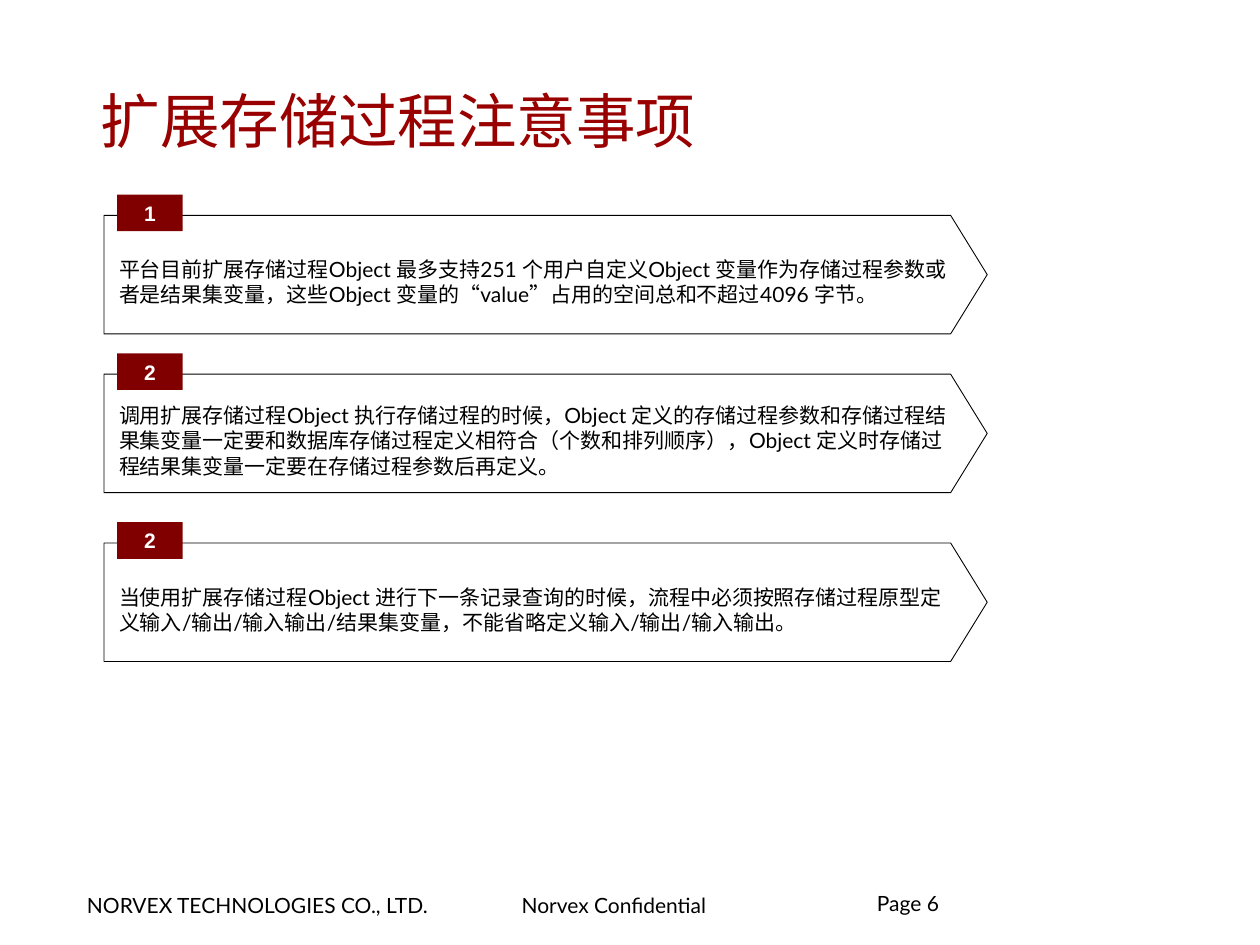
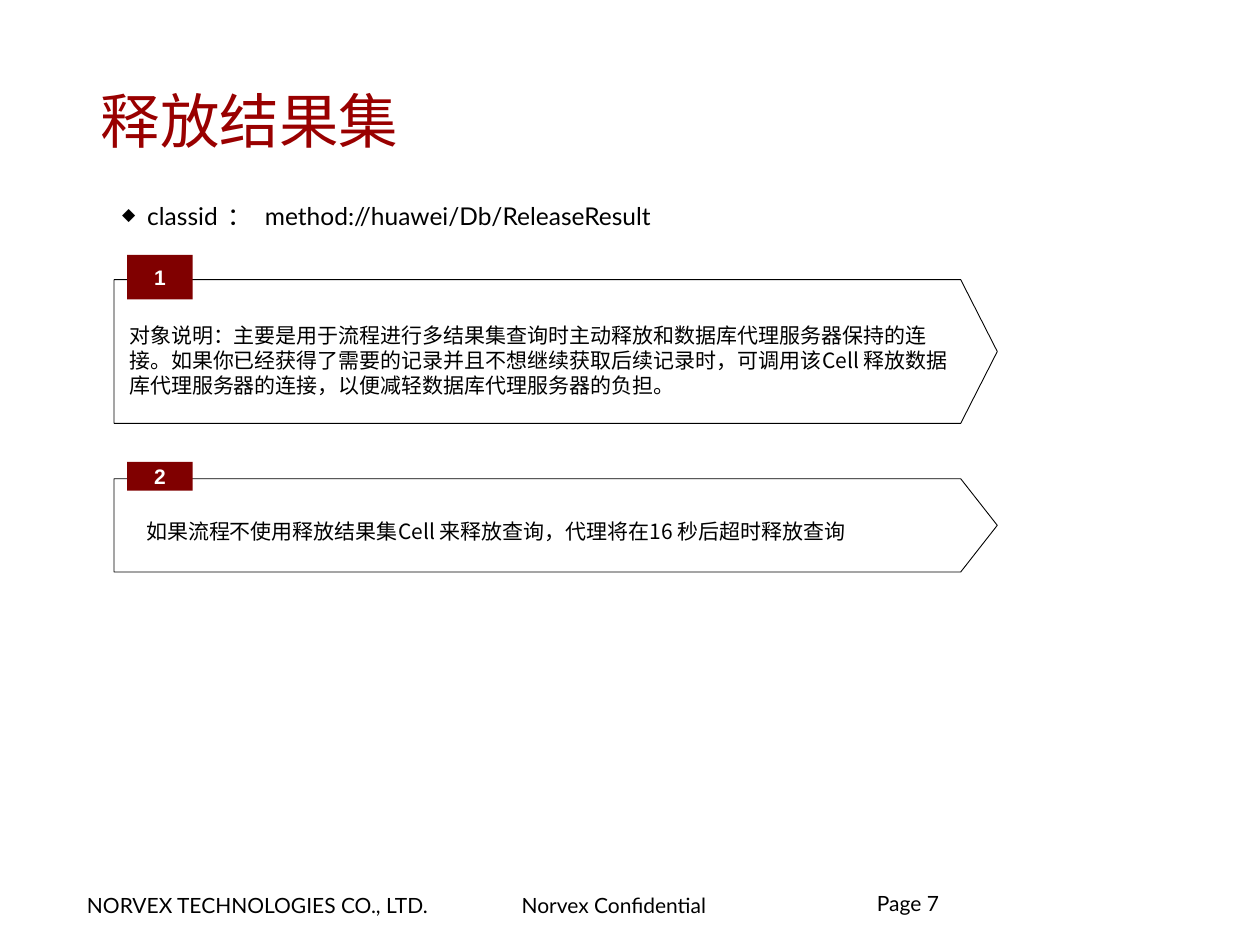
from dataclasses import dataclass

from lxml.etree import SubElement
from pptx import Presentation
from pptx.dml.color import RGBColor as Color
from pptx.enum.shapes import MSO_SHAPE as Shape
from pptx.enum.text import MSO_ANCHOR as Anchor, PP_ALIGN as Align
from pptx.oxml.ns import qn
from pptx.util import Inches, Pt


@dataclass(frozen=True)
class Theme:
    title: Color = Color.from_string("990000")
    badge: Color = Color.from_string("800000")
    ink: Color = Color.from_string("000000")
    paper: Color = Color.from_string("FFFFFF")
    font: str = "Lato"
    badge_font: str = "Arial"
    chinese_font: str = "Noto Sans CJK SC"
    title_size: float = 34
    bullet_size: float = 14
    body_size: float = 12
    bullet_percent: int = 70
    outline: float = 0.5


@dataclass(frozen=True)
class Box:
    left: float
    top: float
    width: float
    height: float

    def inner(self, left, top, width, height):
        return Box(self.left + left, self.top + top, width, height)

    def emu(self):
        return [grid(n) for n in (self.left, self.top, self.width, self.height)]


THEME = Theme()
COLUMNS, ROWS = 100, 75
SLIDE_WIDTH, SLIDE_HEIGHT = Inches(10), Inches(7.5)
PAGE = Box(0, 0, COLUMNS, ROWS)
LINE_ROWS = 2


def grid(cells):
    return round(cells * SLIDE_WIDTH / COLUMNS)


def write(shape, *pieces, size=THEME.body_size, font=THEME.font, color=THEME.ink,
          bold=False, align=Align.LEFT, anchor=Anchor.TOP, inset=(0, 0),
          line_spacing=None, bullet=None, margin=0, hanging=0):
    frame = shape.text_frame
    frame.word_wrap = True
    frame.vertical_anchor = anchor
    frame.margin_left = frame.margin_right = grid(inset[0])
    frame.margin_top = frame.margin_bottom = grid(inset[1])
    para = frame.paragraphs[0]
    para.alignment = align
    if line_spacing:
        para.line_spacing = line_spacing
    properties = para._p.get_or_add_pPr()
    properties.set("hangingPunct", "0")
    if bullet:
        properties.set("marL", str(grid(margin)))
        properties.set("indent", str(-grid(hanging)))
        SubElement(properties, qn("a:buSzPct")).set("val", str(THEME.bullet_percent * 1000))
        SubElement(properties, qn("a:buChar")).set("char", bullet)
    for words, tracking in pieces:
        span = para.add_run()
        span.text = words
        span.font.size = Pt(size)
        span.font.name = font
        span.font.bold = bold
        span.font.color.rgb = color
        if tracking:
            span.font._element.set("spc", str(tracking * 100))


def add_text(shapes, box, *words, **style):
    pieces = [(word, 0) if isinstance(word, str) else word for word in words]
    write(shapes.add_textbox(*box.emu()), *pieces, **style)


def add_frame(slide, box, title, number):
    shapes = slide.shapes
    slide.background.fill.solid()
    slide.background.fill.fore_color.rgb = THEME.paper
    add_text(shapes, box.inner(6, 70.4, 30.9, 2.9), "NORVEX TECHNOLOGIES CO., LTD.",
             inset=(0.9, 0.4))
    add_text(shapes, box.inner(40.5, 70.4, 21.8, 2.9), "Norvex Confidential",
             inset=(0.9, 0.4))
    add_text(shapes, box.inner(69.6, 71, 22.9, 4), f"Page {number}", line_spacing=0.85)
    add_text(shapes, box.inner(7.1, 4.75, 84.7, 9.5), title, size=THEME.title_size,
             color=THEME.title, anchor=Anchor.MIDDLE, inset=(0.9, 0.4))


def add_arrow_card(slide, box, number, words, lines, indent=1.2, font=THEME.font):
    shapes = slide.shapes.add_group_shape().shapes
    right, bottom = box.left + box.width, box.top + box.height
    shoulder, middle = right - 2.9, box.top + box.height / 2
    builder = shapes.build_freeform(grid(box.left), grid(box.top))
    corners = [(shoulder, box.top), (right, middle), (shoulder, bottom), (box.left, bottom)]
    builder.add_line_segments([(grid(x), grid(y)) for x, y in corners])
    outline = builder.convert_to_shape()
    outline.shadow.inherit = False
    outline.fill.background()
    outline.line.color.rgb = THEME.ink
    outline.line.width = Pt(THEME.outline)

    text_height = lines * LINE_ROWS
    text_top = box.height * 0.56 - text_height / 2
    add_text(shapes, box.inner(indent, text_top, 65.7, text_height),
             words, font=font, anchor=Anchor.MIDDLE)

    badge_height = box.height * 0.31
    badge = shapes.add_shape(
        Shape.RECTANGLE, *box.inner(1.05, -badge_height / 2 - 0.2, 5.2, badge_height).emu())
    badge.shadow.inherit = False
    badge.fill.solid()
    badge.fill.fore_color.rgb = THEME.badge
    badge.line.fill.background()
    write(badge, (str(number), 0), font=THEME.badge_font, color=THEME.paper, bold=True,
          align=Align.CENTER, anchor=Anchor.MIDDLE)


def add_notes_slide(slide, box):
    add_frame(slide, box, "扩展存储过程注意事项", 6)
    notes = [
        (17.1, 1, 3, "平台目前扩展存储过程Object 最多支持251 个用户自定义Object 变量作为存储过程参数"
         "或者是结果集变量，这些Object 变量的“value”占用的空间总和不超过4096 字节。"),
        (29.7, 2, 3, "调用扩展存储过程Object 执行存储过程的时候，Object 定义的存储过程参数和存储过程"
         "结果集变量一定要和数据库存储过程定义相符合（个数和排列顺序），Object 定义时存储过程"
         "结果集变量一定要在存储过程参数后再定义。"),
        (43.1, 2, 2, "当使用扩展存储过程Object 进行下一条记录查询的时候，流程中必须按照存储过程原型"
         "定义输入/输出/输入输出/结果集变量，不能省略定义输入/输出/输入输出。"),
    ]
    for top, number, lines, words in notes:
        add_arrow_card(slide, box.inner(8.25, top, 70.1, 9.4), number, words, lines)


def add_release_slide(slide, box):
    add_frame(slide, box, "释放结果集", 7)
    add_text(slide.shapes, box.inner(8.3, 15.5, 68.5, 4), "classid", (" ： ", 2),
             "method://huawei/Db/ReleaseResult", size=THEME.bullet_size,
             inset=(1, 0.5), bullet="◆", margin=2.4, hanging=2)
    add_arrow_card(
        slide, box.inner(9.05, 22.2, 70.1, 11.4), 1,
        "对象说明：主要是用于流程进行多结果集查询时主动释放和数据库代理服务器保持的连接。"
        "如果你已经获得了需要的记录并且不想继续获取后续记录时，可调用该Cell 释放数据库代理服务器的连接，"
        "以便减轻数据库代理服务器的负担。", 3, font=THEME.chinese_font)
    add_arrow_card(
        slide, box.inner(9.05, 38, 70.1, 7.4), 2,
        "如果流程不使用释放结果集Cell 来释放查询，代理将在16 秒后超时释放查询", 1,
        indent=2.55, font=THEME.chinese_font)


def main():
    deck = Presentation()
    deck.slide_width, deck.slide_height = SLIDE_WIDTH, SLIDE_HEIGHT
    for build in (add_notes_slide, add_release_slide):
        build(deck.slides.add_slide(deck.slide_layouts[6]), PAGE)
    deck.save("out.pptx")


if __name__ == "__main__":
    main()
